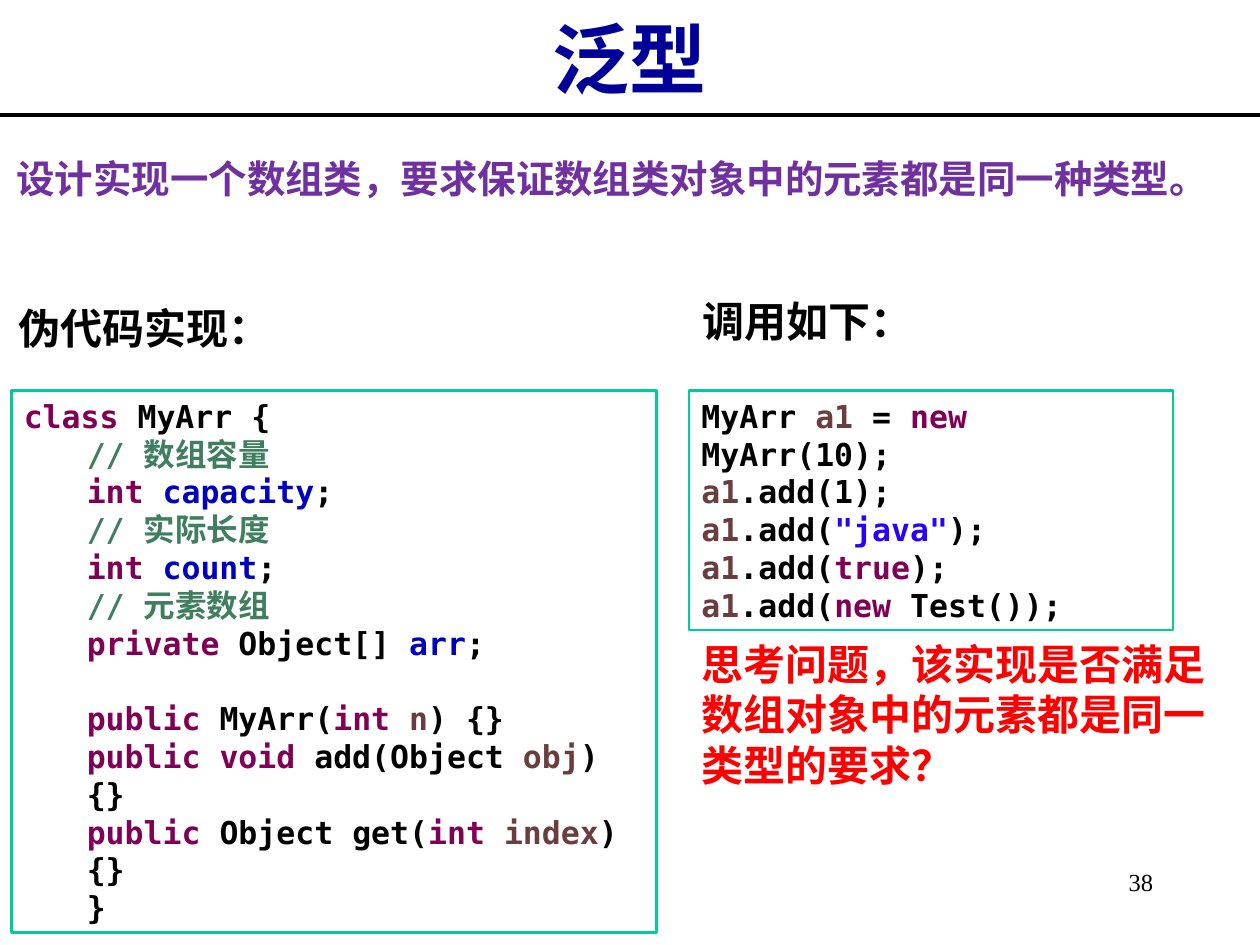
from lxml import etree
from pptx import Presentation
from pptx.dml.color import RGBColor
from pptx.enum.shapes import MSO_CONNECTOR, MSO_SHAPE
from pptx.enum.text import MSO_ANCHOR, MSO_AUTO_SIZE, PP_ALIGN
from pptx.oxml.ns import qn
from pptx.util import Pt

LINE = MSO_CONNECTOR.STRAIGHT
RECTANGLE = MSO_SHAPE.RECTANGLE
TOP, MIDDLE = MSO_ANCHOR.TOP, MSO_ANCHOR.MIDDLE
NO_FIT, GROW = MSO_AUTO_SIZE.NONE, MSO_AUTO_SIZE.SHAPE_TO_FIT_TEXT
LEFT, CENTER, RIGHT = PP_ALIGN.LEFT, PP_ALIGN.CENTER, PP_ALIGN.RIGHT

SERIF, SANS, MONO = "Times New Roman", "Noto Sans CJK SC", "DejaVu Sans Mono"
PAGE_WIDTH, PAGE_HEIGHT = 720, 540
CODE_SIZE, CODE_LINE, CODE_INDENT = 18, 21.6, 36

COLORS = {
    "title": "000099", "text": "000000", "task": "7030A0", "question": "FF0000",
    "paper": "FFFFFF", "frame": "00CC99",
    "keyword": "7F0055", "comment": "3F7F5F", "field": "0000C0",
    "variable": "6A3E3E", "string": "2A00FF",
}

# Each line is a list of (text, colour) spans; None stands for an empty line.
CLASS_CODE = [
    [("class", "keyword"), (" MyArr {", "text")],
    [("// 数组容量", "comment")],
    [("int ", "keyword"), ("capacity", "field"), (";", "text")],
    [("// 实际长度", "comment")],
    [("int ", "keyword"), ("count", "field"), (";", "text")],
    [("// 元素数组", "comment")],
    [("private", "keyword"), (" Object[] ", "text"), ("arr", "field"), (";", "text")],
    None,
    [("public", "keyword"), (" MyArr(", "text"), ("int ", "keyword"),
     ("n", "variable"), (") {}", "text")],
    [("public void", "keyword"), (" add(Object ", "text"),
     ("obj", "variable"), (") {}", "text")],
    [("public", "keyword"), (" Object get(", "text"), ("int ", "keyword"),
     ("index", "variable"), (") {}", "text")],
    [("}", "text")],
]
CALL_CODE = [
    [("MyArr ", "text"), ("a1", "variable"), (" = ", "text"),
     ("new", "keyword"), (" MyArr(10);", "text")],
    [("a1", "variable"), (".add(1);", "text")],
    [("a1", "variable"), (".add(", "text"), ('"java"', "string"), (");", "text")],
    [("a1", "variable"), (".add(", "text"), ("true", "keyword"), (");", "text")],
    [("a1", "variable"), (".add(", "text"), ("new", "keyword"), (" Test());", "text")],
]


def rgb(name):
    return RGBColor.from_string(COLORS[name])


def add_span(para, text, size, font=SERIF, color="text", bold=True):
    span = para.add_run()
    span.text = text
    span.font.size = Pt(size)
    span.font.bold = bold
    span.font.name = font
    span.font.color.rgb = rgb(color)
    east_asian = etree.Element(qn("a:ea"), typeface=SANS)
    span.font._element.find(qn("a:latin")).addnext(east_asian)


def set_frame(frame, wrap=True, fit=NO_FIT, anchor=TOP, inset=(7.2, 3.6)):
    frame.word_wrap = wrap
    frame.auto_size = fit
    frame.vertical_anchor = anchor
    frame.margin_left = frame.margin_right = Pt(inset[0])
    frame.margin_top = frame.margin_bottom = Pt(inset[1])


def add_text(page, text, box, align=LEFT, spacing=None, wrap=True, fit=NO_FIT,
             inset=(7.2, 3.6), **span_format):
    shape = page.shapes.add_textbox(*map(Pt, box))
    set_frame(shape.text_frame, wrap=wrap, fit=fit, inset=inset)
    para = shape.text_frame.paragraphs[0]
    para.alignment = align
    para.line_spacing = spacing
    add_span(para, text, **span_format)


def add_header(page, text, box):
    """Place the title and the full-width rule under it."""
    left, top, width, height = box
    title = page.shapes.title
    title.left, title.top = Pt(left + 54), Pt(top)
    title.width, title.height = Pt(width - 108), Pt(height)
    set_frame(title.text_frame, anchor=MIDDLE)
    para = title.text_frame.paragraphs[0]
    para.alignment = CENTER
    add_span(para, text, size=44, color="title")

    bottom = Pt(top + height)
    rule = page.shapes.add_connector(LINE, Pt(left), bottom, Pt(left + width), bottom)
    rule.line.color.rgb = rgb("text")
    rule.line.width = Pt(2.25)
    etree.SubElement(rule._element.spPr, qn("a:effectLst"))


def add_code(page, lines, box, body_indent=0):
    """Frame the code, indenting every line after the first by body_indent."""
    shape = page.shapes.add_shape(RECTANGLE, *map(Pt, box))
    shape.shadow.inherit = False
    shape.fill.solid()
    shape.fill.fore_color.rgb = rgb("paper")
    shape.line.color.rgb = rgb("frame")
    shape.line.width = Pt(1.5)
    frame = shape.text_frame
    set_frame(frame, fit=GROW)
    gap = 0
    for number, line in enumerate(lines):
        if line is None:
            gap = CODE_LINE
            continue
        para = frame.add_paragraph() if number else frame.paragraphs[0]
        para.alignment = LEFT
        if number and body_indent:
            properties = para._p.get_or_add_pPr()
            properties.set("marL", str(Pt(body_indent)))
            properties.set("indent", "0")
        if gap:
            para.space_before = Pt(gap)
            gap = 0
        for text, color in line:
            add_span(para, text, CODE_SIZE, font=MONO, color=color)


def add_class_column(page, box):
    left, top, width, height = box
    add_text(page, "伪代码实现：", (left - 2.9, top - 54, 158.4, 36),
             wrap=False, fit=GROW, size=24)
    add_code(page, CLASS_CODE, box, body_indent=CODE_INDENT)


def add_call_column(page, box):
    left, top, width, height = box
    add_text(page, "调用如下：", (left + 0.7, top - 57.6, 133.9, 36),
             wrap=False, fit=GROW, size=24)
    add_code(page, CALL_CODE, box)
    add_text(page, "思考问题，该实现是否满足数组对象中的元素都是同一类型的要求？",
             (left, top + height + 1.4, 311.8, 93.6), fit=GROW,
             size=24, color="question")


def main():
    deck = Presentation()
    deck.slide_width, deck.slide_height = Pt(PAGE_WIDTH), Pt(PAGE_HEIGHT)
    page = deck.slides.add_slide(deck.slide_layouts[5])
    add_header(page, "泛型", (0, 0, PAGE_WIDTH, 65.5))
    add_text(page, "38", (588.2, 491.8, 77.8, 36), align=RIGHT, size=14, bold=False)
    add_text(page, "设计实现一个数组类，要求保证数组类对象中的元素都是同一种类型。",
             (0, 70.6, PAGE_WIDTH, 56.9), spacing=1.5, inset=(9.4, 5),
             size=22, font=SANS, color="task")
    add_class_column(page, (6.5, 223.2, 368.6, 309.6))
    add_call_column(page, (393.8, 223.2, 276.5, 136.8))
    deck.save("out.pptx")


if __name__ == "__main__":
    main()
